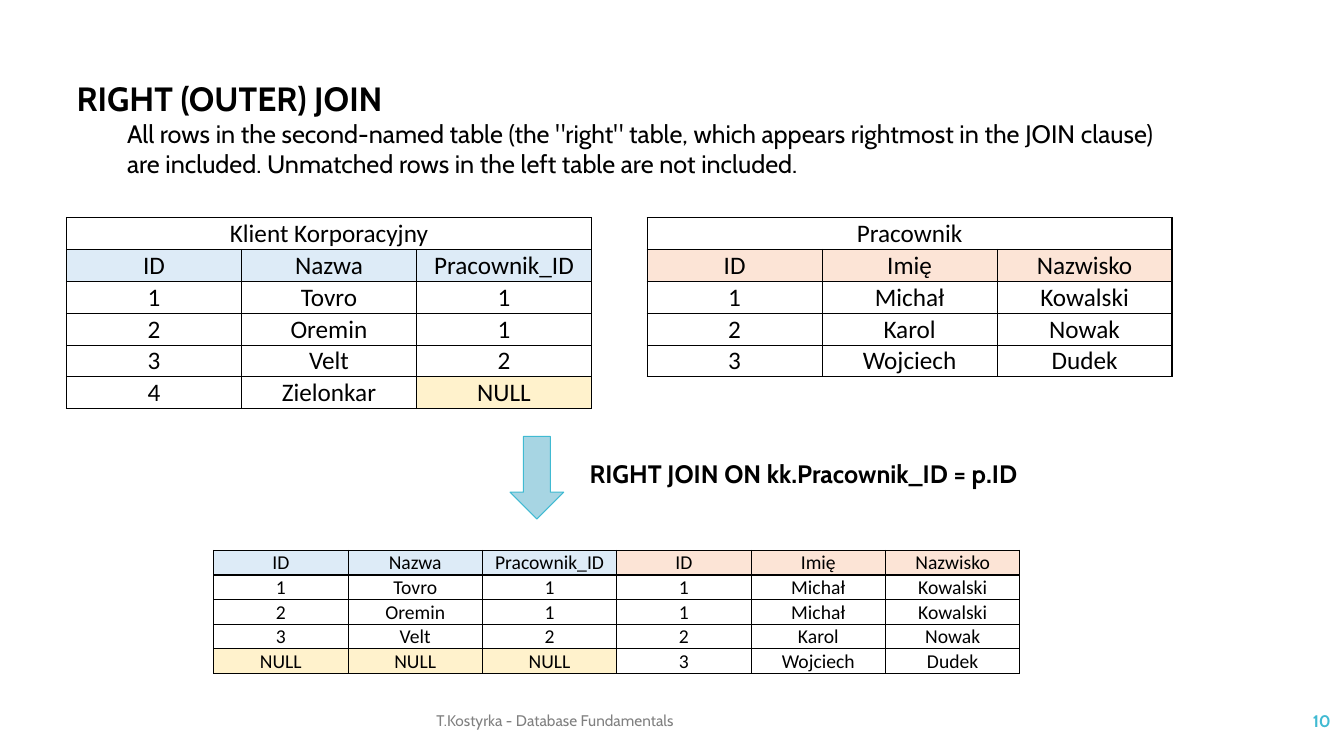
from lxml.etree import SubElement
from pptx import Presentation
from pptx.dml.color import RGBColor
from pptx.enum.shapes import MSO_SHAPE as Shape
from pptx.enum.text import MSO_ANCHOR as Anchor, MSO_AUTO_SIZE as AutoSize, PP_ALIGN as Align
from pptx.oxml.ns import qn
from pptx.util import Inches, Pt

COLORS = {
    "text": "000000",
    "footer": "808080",
    "accent": "40BAD2",
    "arrow": "A7D5E3",
    "client": "DDEBF7",
    "employee": "FCE4D6",
    "null": "FFF2CC",
}


def rgb(name):
    return RGBColor.from_string(COLORS[name])


class JoinSlide:
    text_font = "Cabin"
    table_font = "Calibri"
    thick, thin = 1, 0.5

    def __init__(self, deck):
        self.width, self.height = deck.slide_width, deck.slide_height
        self.slide = deck.slides.add_slide(deck.slide_layouts[1])
        self.shapes = self.slide.shapes

    def box(self, left, top, width, height):
        return (int(self.width * left / 100), int(self.height * top / 100),
                int(self.width * width / 100), int(self.height * height / 100))

    def set_text(self, frame, text, size, color="text", bold=False, align=Align.LEFT, font=None):
        frame.text = text
        frame.word_wrap = True
        paragraph = frame.paragraphs[0]
        paragraph.alignment = align
        for run in paragraph.runs:
            run.font.name = font or self.text_font
            run.font.size = Pt(size)
            run.font.bold = bold
            run.font.color.rgb = rgb(color)

    def fill_placeholder(self, holder, area, text, size, bold=False, indent=0):
        holder.left, holder.top, holder.width, holder.height = self.box(*area)
        frame = holder.text_frame
        self.set_text(frame, text, size, bold=bold)
        frame.auto_size = AutoSize.NONE
        frame.vertical_anchor = Anchor.TOP
        paragraph = frame.paragraphs[0]
        paragraph.space_before = Pt(0)
        properties = paragraph._p.get_or_add_pPr()
        properties.set("marL", str(Inches(indent)))
        properties.set("indent", "0")
        SubElement(properties, qn("a:buNone"))

    def title(self, area, text):
        self.fill_placeholder(self.shapes.title, area, text, 24, bold=True)

    def body(self, area, text):
        self.fill_placeholder(self.slide.placeholders[1], area, text, 18, indent=0.5)

    def label(self, area, text, size, anchor=Anchor.MIDDLE, **style):
        frame = self.shapes.add_textbox(*self.box(*area)).text_frame
        self.set_text(frame, text, size, **style)
        frame.vertical_anchor = anchor

    def down_arrow(self, area):
        arrow = self.shapes.add_shape(Shape.DOWN_ARROW, *self.box(*area))
        arrow.shadow.inherit = False
        arrow.fill.solid()
        arrow.fill.fore_color.rgb = rgb("arrow")
        arrow.line.color.rgb = rgb("accent")
        arrow.line.width = Pt(0.75)

    def border(self, cell, side, width):
        line = SubElement(cell._tc.get_or_add_tcPr(), qn(f"a:ln{side}"), w=str(Pt(width)))
        SubElement(SubElement(line, qn("a:solidFill")), qn("a:srgbClr"), val=COLORS["text"])

    def table(self, left, top, column_width, row_height, rows, size,
              header_fills, thick_rows, thick_columns, caption=None):
        header_row = 1 if caption else 0
        columns = len(header_fills)
        if caption:
            rows = [[caption] + [""] * (columns - 1)] + rows
        area = self.box(left, top, column_width * columns, row_height * len(rows))
        grid = self.shapes.add_table(len(rows), columns, *area).table
        grid.first_row = grid.horz_banding = False
        if caption:
            grid.cell(0, 0).merge(grid.cell(0, columns - 1))
        for r, values in enumerate(rows):
            for c, value in enumerate(values):
                cell = grid.cell(r, c)
                right = c + (cell.span_width if cell.is_merge_origin else 1)
                edges = (("L", c, thick_columns), ("R", right, thick_columns),
                         ("T", r, thick_rows), ("B", r + 1, thick_rows))
                for side, position, thick in edges:
                    self.border(cell, side, self.thick if position in thick else self.thin)
                fill = header_fills[c] if r == header_row else "null" if value == "NULL" else None
                if fill:
                    cell.fill.solid()
                    cell.fill.fore_color.rgb = rgb(fill)
                else:
                    cell.fill.background()
                cell.margin_left = cell.margin_right = cell.margin_top = Inches(0.01)
                cell.margin_bottom = 0
                cell.vertical_anchor = Anchor.BOTTOM
                self.set_text(cell.text_frame, value, size, align=Align.CENTER,
                              font=self.table_font)


def main():
    deck = Presentation()
    deck.slide_width, deck.slide_height = Inches(13.33), Inches(7.5)
    page = JoinSlide(deck)

    client_header = ["ID", "Nazwa", "Pracownik_ID"]
    clients = [["1", "Tovro", "1"], ["2", "Oremin", "1"],
               ["3", "Velt", "2"], ["4", "Zielonkar", "NULL"]]
    employee_header = ["ID", "Imię", "Nazwisko"]
    employees = [["1", "Michał", "Kowalski"], ["2", "Karol", "Nowak"],
                 ["3", "Wojciech", "Dudek"]]
    joined = [client + employee for employee in employees
              for client in [row for row in clients if row[2] == employee[0]] or [["NULL"] * 3]]

    page.title((4.95, 9.6, 82, 6), "RIGHT (OUTER) JOIN")
    page.body((4.95, 15, 82, 9.4),
              'All rows in the second-named table (the "right" table, which appears rightmost '
              "in the JOIN clause) are included. Unmatched rows in the left table are not included.")

    sources = [
        (4.95, "Klient Korporacyjny", client_header, clients, "client"),
        (48.15, "Pracownik", employee_header, employees, "employee"),
    ]
    for left, caption, header, records, fill in sources:
        page.table(left, 28.8, 13.02, 4.13, [header] + records, 18, [fill] * 3,
                   {0, 1, 2, len(records) + 2}, {0, 3}, caption)

    page.down_arrow((37.95, 57.73, 4, 10.93))
    page.label((43.13, 60, 43.8, 5.33), "RIGHT JOIN ON kk.Pracownik_ID = p.ID", 18,
               anchor=Anchor.TOP, bold=True)

    page.table(15.9, 72.8, 10, 3.22, [client_header + employee_header] + joined, 14,
               ["client"] * 3 + ["employee"] * 3,
               {0, 1, len(joined), len(joined) + 1}, {0, 3, 6})

    page.label((31.73, 92.67, 48.45, 5.33), "T.Kostyrka - Database Fundamentals", 11,
               color="footer")
    page.label((87.23, 92.67, 12.53, 5.33), "10", 12, color="accent", bold=True,
               align=Align.RIGHT)
    deck.save("out.pptx")


if __name__ == "__main__":
    main()
